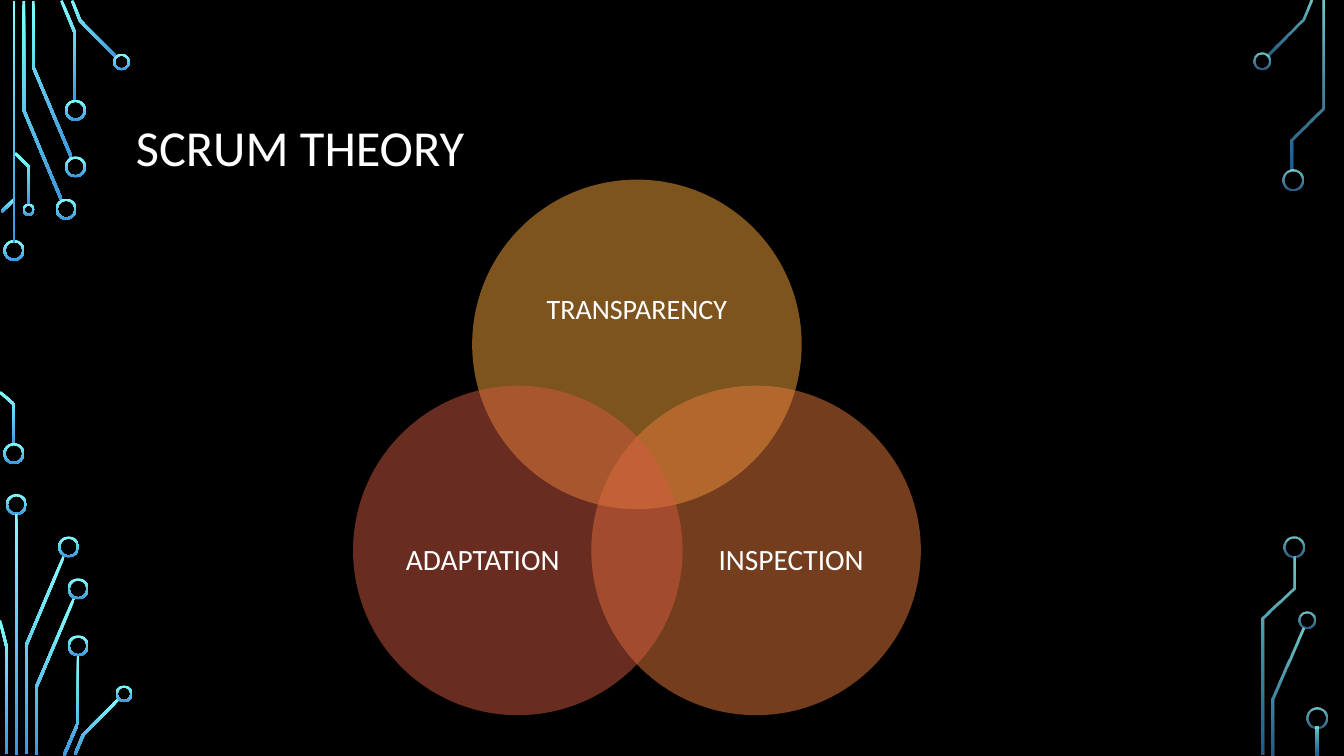
"""Build the Scrum theory slide: three overlapping circles framed by circuit traces."""
from dataclasses import dataclass
from math import hypot

from pptx import Presentation
from pptx.dml.color import RGBColor as Color
from pptx.enum.shapes import MSO_SHAPE as Shape
from pptx.enum.text import MSO_ANCHOR as Anchor, PP_ALIGN as Align
from pptx.oxml.ns import qn
from pptx.oxml.xmlchemy import OxmlElement as Element
from pptx.util import Pt


@dataclass(frozen=True)
class Theme:
    font: str = "Calibri"
    background: str = "000000"
    text: str = "FFFFFF"
    trace_top: str = "82FFFF"
    trace_bottom: str = "3D97DE"
    amber: str = "FAA93A"
    orange: str = "E87C3C"
    red: str = "D35940"
    title_size: int = 36
    top_size: int = 20
    side_size: int = 21


theme = Theme()
TRACE_WIDTH = 1.9
RING_WIDTH = 1.44
CIRCLE = 235.4


def paint(shape, colors, opacities):
    """Fill a shape with one colour or a vertical gradient, with no line or shadow."""
    shape.shadow.inherit = False
    shape.line.fill.background()
    if len(colors) == 1:
        shape.fill.solid()
        shape.fill.fore_color.rgb = Color.from_string(colors[0])
    else:
        shape.fill.gradient()
        shape.fill.gradient_angle = 270
        for stop, color, position in zip(shape.fill.gradient_stops, colors, (0, 1)):
            stop.color.rgb = Color.from_string(color)
            stop.position = position
    for node, opacity in zip(shape._element.spPr.iter(qn("a:srgbClr")), opacities):
        if opacity < 100:
            alpha = Element("a:alpha")
            alpha.set("val", str(opacity * 1000))
            node.append(alpha)


def add_text(page, text, frame, size, align, inset):
    """Add a one-line text box, centred vertically."""
    box = page.shapes.add_textbox(*map(Pt, frame)).text_frame
    box.word_wrap = True
    box.vertical_anchor = Anchor.MIDDLE
    box.margin_left = box.margin_right = Pt(inset)
    box.margin_top = box.margin_bottom = Pt(inset / 2)
    para = box.paragraphs[0]
    para.alignment = align
    para.line_spacing = 0.9
    span = para.add_run()
    span.text = text
    span.font.name = theme.font
    span.font.size = Pt(size)
    span.font.color.rgb = Color.from_string(theme.text)


deck = Presentation()
deck.slide_width, deck.slide_height = Pt(960), Pt(540)
page = deck.slides.add_slide(deck.slide_layouts[6])
page.background.fill.solid()
page.background.fill.fore_color.rgb = Color.from_string(theme.background)

left_traces = [
    [(43.9, 142.9), (16.9, 78.5), (16.9, 0.7)],
    [(51.1, 112.7), (23.7, 47.9), (23.7, 0.7)],
    [(53.7, 72), (53.7, 23.8), (43.9, 0.4)],
    [(83.2, 41), (57.2, 14.8), (51.5, 0.4)],
    [(1.1, 151.2), (10, 142.6)],
    [(9.9, 317.5), (9.9, 288.7), (0, 280.1)],
    [(20.6, 146.2), (20.6, 119.2), (10.8, 109.4)],
    [(18.5, 538.6), (18.5, 461.5), (45.7, 397.1)],
    [(4.6, 538.6), (4.6, 461.5), (0, 443.2)],
    [(25.7, 539.3), (25.7, 491.4), (52.9, 427.3)],
    [(45.7, 539.6), (55.8, 516.2), (55.8, 468)],
    [(53.6, 538.9), (59.4, 524.9), (85, 499)],
]
right_traces = [
    [(905, 40), (930.6, 14.4), (936.4, 0.4)],
    [(909, 539.3), (909, 499.3), (931, 448.9)],
    [(923, 121.7), (923, 99.7), (945, 77.4), (945, 0.7)],
    [(901.8, 539.3), (901.8, 441.7), (924.3, 420.1), (924.3, 397.4)],
]
left_rings = [
    (10, 178.9, 15), (9.9, 324, 15), (47.2, 149.4, 15), (53.9, 119.2, 15),
    (53.9, 78.8, 15), (11.7, 360.4, 15), (49, 390.7, 15), (55.8, 420.6, 15),
    (55.8, 461.3, 15), (86.8, 44.3, 12), (88.6, 495.6, 12), (20.5, 149.8, 8.8),
]
right_rings = [
    (901.5, 43.6, 12.2), (923.4, 128.9, 15), (933.5, 443.2, 12.2),
    (924, 390.7, 15), (940.7, 512.8, 15),
]
left_bars = [(9.9, 0.7, 172), (11.6, 367.2, 172)]
right_bars = [(940.8, 519.1, 20.2)]

for traces, rings, bars, opacities in (
    (left_traces, left_rings, left_bars, (100, 100)),
    (right_traces, right_rings, right_bars, (80, 60)),
):
    pieces = []
    for trace in traces:
        normals = []
        for (x1, y1), (x2, y2) in zip(trace, trace[1:]):
            length = hypot(x2 - x1, y2 - y1)
            normals.append(((y1 - y2) / length, (x2 - x1) / length))
        near, far = [], []
        for (x, y), (ax, ay), (bx, by) in zip(
            trace, normals[:1] + normals, normals + normals[-1:]
        ):
            reach = TRACE_WIDTH / 2 / (1 + ax * bx + ay * by)
            dx, dy = (ax + bx) * reach, (ay + by) * reach
            near.append((Pt(x + dx), Pt(y + dy)))
            far.append((Pt(x - dx), Pt(y - dy)))
        outline = near + far[::-1]
        builder = page.shapes.build_freeform(*outline[0])
        builder.add_line_segments(outline[1:], close=True)
        pieces.append(builder.convert_to_shape())
    for x, y, size in rings:
        ring = page.shapes.add_shape(
            Shape.DONUT, Pt(x - size / 2), Pt(y - size / 2), Pt(size), Pt(size)
        )
        ring.adjustments[0] = RING_WIDTH / size
        pieces.append(ring)
    for x, top, height in bars:
        pieces.append(page.shapes.add_shape(
            Shape.RECTANGLE, Pt(x - TRACE_WIDTH / 2), Pt(top), Pt(TRACE_WIDTH), Pt(height)
        ))
    for piece in pieces:
        paint(piece, (theme.trace_top, theme.trace_bottom), opacities)

add_text(page, "SCRUM THEORY", (90, 49, 780, 116.6), theme.title_size, Align.LEFT, 7.2)

principles = [
    ("TRANSPARENCY", theme.amber, 337.3, 128.3, (368.6, 169.2, 172.8, 105.8), theme.top_size),
    ("INSPECTION", theme.orange, 422.4, 275.5, (494.6, 336.2, 141.1, 129.6), theme.side_size),
    ("ADAPTATION", theme.red, 252.2, 275.5, (274.3, 336.2, 141.1, 129.6), theme.side_size),
]
for name, color, left, top, frame, size in principles:
    circle = page.shapes.add_shape(Shape.OVAL, Pt(left), Pt(top), Pt(CIRCLE), Pt(CIRCLE))
    paint(circle, (color,), (50,))
    add_text(page, name, frame, size, Align.CENTER, 0)

deck.save("out.pptx")
